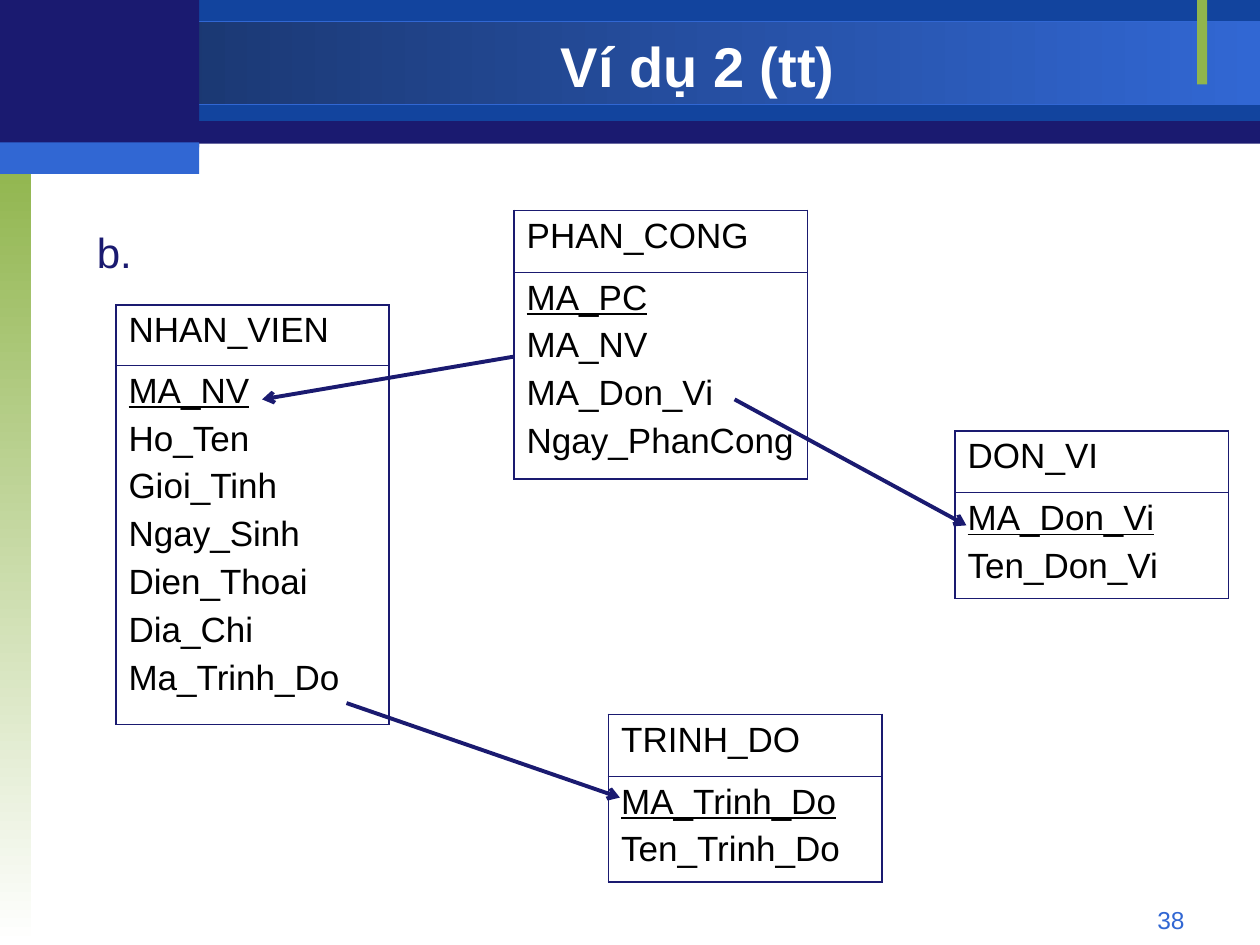
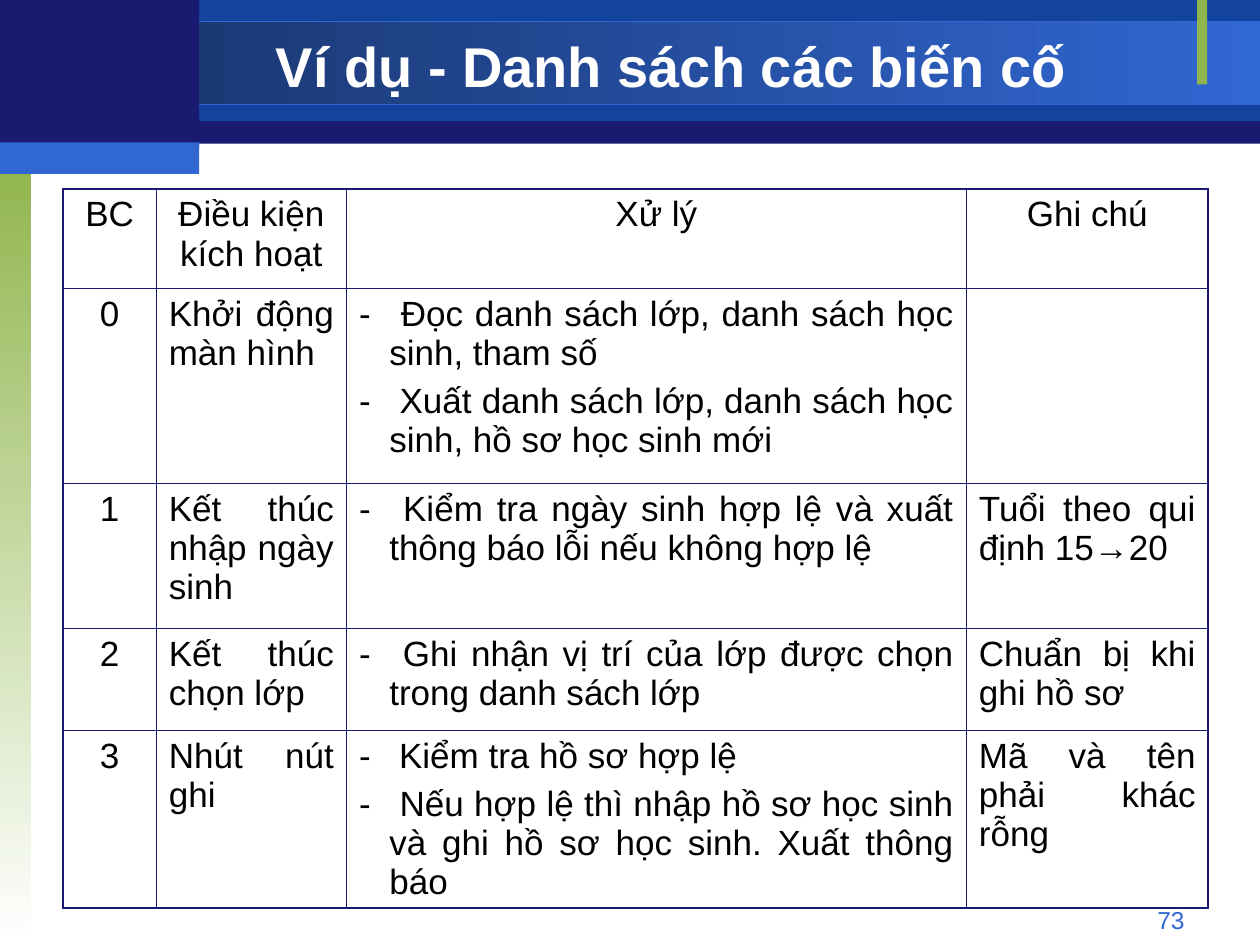
"""Build two lecture slides: a relational schema and a table of screen events."""
from lxml.etree import SubElement
from pptx import Presentation
from pptx.dml.color import RGBColor
from pptx.enum.shapes import MSO_CONNECTOR, MSO_SHAPE
from pptx.enum.text import MSO_ANCHOR, MSO_AUTO_SIZE, PP_ALIGN as ALIGN
from pptx.oxml import parse_xml
from pptx.oxml.ns import nsdecls, qn
from pptx.util import Inches, Pt

COLORS = {
    "navy": "1A1A70",
    "blue": "12449E",
    "dusk": "173062",
    "sky": "3167D3",
    "green": "90B54D",
    "white": "FFFFFF",
    "black": "000000",
}
BANDS = [
    (0, 0.01, 10, 1.13, ["navy"], 0),
    (1.58, 0, 8.42, 0.96, ["blue"], 0),
    (0, 0.17, 10, 0.66, ["dusk", "sky"], 0),
    (0, 1.25, 0.25, 6.25, ["green", "white"], 270),
    (9.5, 0, 0.08, 0.67, ["green"], 0),
    (0, 0, 1.58, 1.17, ["navy"], 0),
    (0, 1.13, 1.58, 0.25, ["sky"], 0),
]
OUTER, INNER = 1.08, 0.45


def rgb(name):
    return RGBColor.from_string(COLORS[name])


class Deck:
    """Hold the shared style and the current slide."""

    font = "Arial"

    def __init__(self):
        self.deck = Presentation()
        self.deck.slide_width, self.deck.slide_height = Inches(10), Inches(7.5)
        self.page = None

    def start(self, title, title_width, number):
        self.page = self.deck.slides.add_slide(self.deck.slide_layouts[5])
        for band in BANDS:
            self.band(*band)
        self.text(str(number), (7.17, 7.13, 2.33, 0.27), 14, "sky", ALIGN.RIGHT)
        self.title(title, title_width)

    def band(self, left, top, width, height, colors, angle):
        box = self.page.shapes.add_shape(
            MSO_SHAPE.RECTANGLE, *map(Inches, (left, top, width, height)))
        box.shadow.inherit = False
        box.line.fill.background()
        if len(colors) == 1:
            box.fill.solid()
            box.fill.fore_color.rgb = rgb(colors[0])
            return
        box.fill.gradient()
        box.fill.gradient_angle = angle
        for stop, color in zip(box.fill.gradient_stops, colors):
            stop.color.rgb = rgb(color)
        if "sky" in colors:
            box.line.color.rgb = rgb("sky")
            box.line.width = Pt(0.75)

    def style(self, para, size, color, align=ALIGN.LEFT, bold=False):
        para.alignment = align
        for span in para.runs:
            span.font.name = self.font
            span.font.size = Pt(size)
            span.font.bold = bold
            span.font.color.rgb = rgb(color)

    def title(self, words, width):
        box = self.page.shapes.title
        box.left, box.top = Inches(1.58), Inches(0.23)
        box.width, box.height = Inches(width), Inches(0.58)
        frame = box.text_frame
        frame.text = words
        frame.word_wrap = True
        frame.auto_size = MSO_AUTO_SIZE.NONE
        frame.vertical_anchor = MSO_ANCHOR.MIDDLE
        self.style(frame.paragraphs[0], 32, "white", ALIGN.CENTER, True)
        self.page.shapes._spTree.append(box._element)

    def text(self, words, place, size, color, align=ALIGN.LEFT):
        frame = self.page.shapes.add_textbox(*map(Inches, place)).text_frame
        frame.word_wrap = True
        frame.text = words
        self.style(frame.paragraphs[0], size, color, align)

    def bullet(self, para):
        props = para._p.get_or_add_pPr()
        props.set("marL", str(Inches(0.24)))
        props.set("indent", str(-Inches(0.24)))
        color = SubElement(props, qn("a:buClr"))
        SubElement(color, qn("a:srgbClr"), val=COLORS["black"])
        SubElement(props, qn("a:buFont"), typeface=self.font)
        SubElement(props, qn("a:buChar"), char="-")

    def cell(self, cell, words, align, bulleted=False):
        cell.fill.background()
        cell.text_frame.text = words
        for index, para in enumerate(cell.text_frame.paragraphs):
            self.style(para, 20, "black", align)
            if index:
                para.space_before = Pt(5)
            if bulleted:
                self.bullet(para)

    def borders(self, cell, outer_sides):
        props = cell._tc.get_or_add_tcPr()
        for index, side in enumerate("LRTB"):
            width = Pt(OUTER if side in outer_sides else INNER)
            props.insert(index, parse_xml(
                f'<a:ln{side} {nsdecls("a")} w="{width}"><a:solidFill>'
                f'<a:srgbClr val="{COLORS["navy"]}"/></a:solidFill></a:ln{side}>'))

    def grid(self, left, top, widths, heights):
        place = map(Inches, (left, top, sum(widths), sum(heights)))
        table = self.page.shapes.add_table(len(heights), len(widths), *place).table
        table.first_row = table.horz_banding = False
        for column, width in zip(table.columns, widths):
            column.width = Inches(width)
        for row, height in zip(table.rows, heights):
            row.height = Inches(height)
        last_row, last_column = len(heights) - 1, len(widths) - 1
        for r, row in enumerate(table.rows):
            for c, cell in enumerate(row.cells):
                edges = {"L": c == 0, "R": c == last_column,
                         "T": r == 0, "B": r == last_row}
                self.borders(cell, [side for side, outer in edges.items() if outer])
        return table

    def entity(self, name, fields, left, top, width, heights):
        table = self.grid(left, top, [width], heights)
        self.cell(table.cell(0, 0), name, ALIGN.LEFT)
        self.cell(table.cell(1, 0), "\n".join(fields), ALIGN.LEFT)
        key = table.cell(1, 0).text_frame.paragraphs[0].runs[0]
        key.font.underline = True

    def events(self, rows, left, top, widths, heights):
        table = self.grid(left, top, widths, heights)
        for r, row in enumerate(rows):
            for c, words in enumerate(row):
                centered = r == 0 or c == 0
                self.cell(table.cell(r, c), words,
                          ALIGN.CENTER if centered else ALIGN.JUSTIFY,
                          bulleted=c == 2 and not centered)

    def arrow(self, start, end):
        link = self.page.shapes.add_connector(
            MSO_CONNECTOR.STRAIGHT, *map(Inches, start + end))
        link.line.color.rgb = rgb("navy")
        link.line.width = Pt(2.25)
        SubElement(link.line._get_or_add_ln(), qn("a:tailEnd"), type="arrow")
        SubElement(link._element.spPr, qn("a:effectLst"))


def schema_slide(deck):
    deck.start("Ví dụ 2 (tt)", 7.92, 38)
    deck.text("b.", (0.67, 1.75, 0.58, 0.5), 24, "navy")
    staff = ["MA_NV", "Ho_Ten", "Gioi_Tinh", "Ngay_Sinh", "Dien_Thoai",
             "Dia_Chi", "Ma_Trinh_Do"]
    duty = ["MA_PC", "MA_NV", "MA_Don_Vi", "Ngay_PhanCong"]
    deck.entity("NHAN_VIEN", staff, 0.92, 2.42, 2.17, [0.48, 2.85])
    deck.entity("DON_VI", ["MA_Don_Vi", "Ten_Don_Vi"], 7.58, 3.42, 2.17, [0.49, 0.84])
    deck.entity("TRINH_DO", ["MA_Trinh_Do", "Ten_Trinh_Do"], 4.83, 5.67, 2.17,
                [0.49, 0.84])
    deck.arrow((4.08, 2.83), (2.08, 3.17))
    deck.arrow((2.75, 5.58), (4.92, 6.33))
    deck.entity("PHAN_CONG", duty, 4.08, 1.67, 2.33, [0.49, 1.64])
    deck.arrow((5.83, 3.17), (7.67, 4.17))


def events_slide(deck):
    deck.start("Ví dụ - Danh sách các biến cố", 7.5, 73)
    rows = [
        ("BC", "Điều kiện kích hoạt", "Xử lý", "Ghi chú"),
        ("0", "Khởi động màn hình",
         " Đọc danh sách lớp, danh sách học sinh, tham số\n"
         " Xuất danh sách lớp, danh sách học sinh, hồ sơ học sinh mới", ""),
        ("1", "Kết thúc nhập ngày sinh",
         " Kiểm tra ngày sinh hợp lệ và xuất thông báo lỗi nếu không hợp lệ",
         "Tuổi theo qui định 15→20"),
        ("2", "Kết thúc chọn lớp",
         " Ghi nhận vị trí của lớp được chọn trong danh sách lớp",
         "Chuẩn bị khi ghi hồ sơ"),
        ("3", "Nhút nút ghi",
         " Kiểm tra hồ sơ hợp lệ\n"
         " Nếu hợp lệ thì nhập hồ sơ học sinh và ghi hồ sơ học sinh. "
         "Xuất thông báo", "Mã và tên phải khác rỗng"),
    ]
    deck.events(rows, 0.5, 1.5, [0.74, 1.51, 4.92, 1.92],
                [0.79, 1.55, 1.15, 0.81, 1.2])


def main():
    deck = Deck()
    schema_slide(deck)
    events_slide(deck)
    deck.deck.save("out.pptx")


if __name__ == "__main__":
    main()
